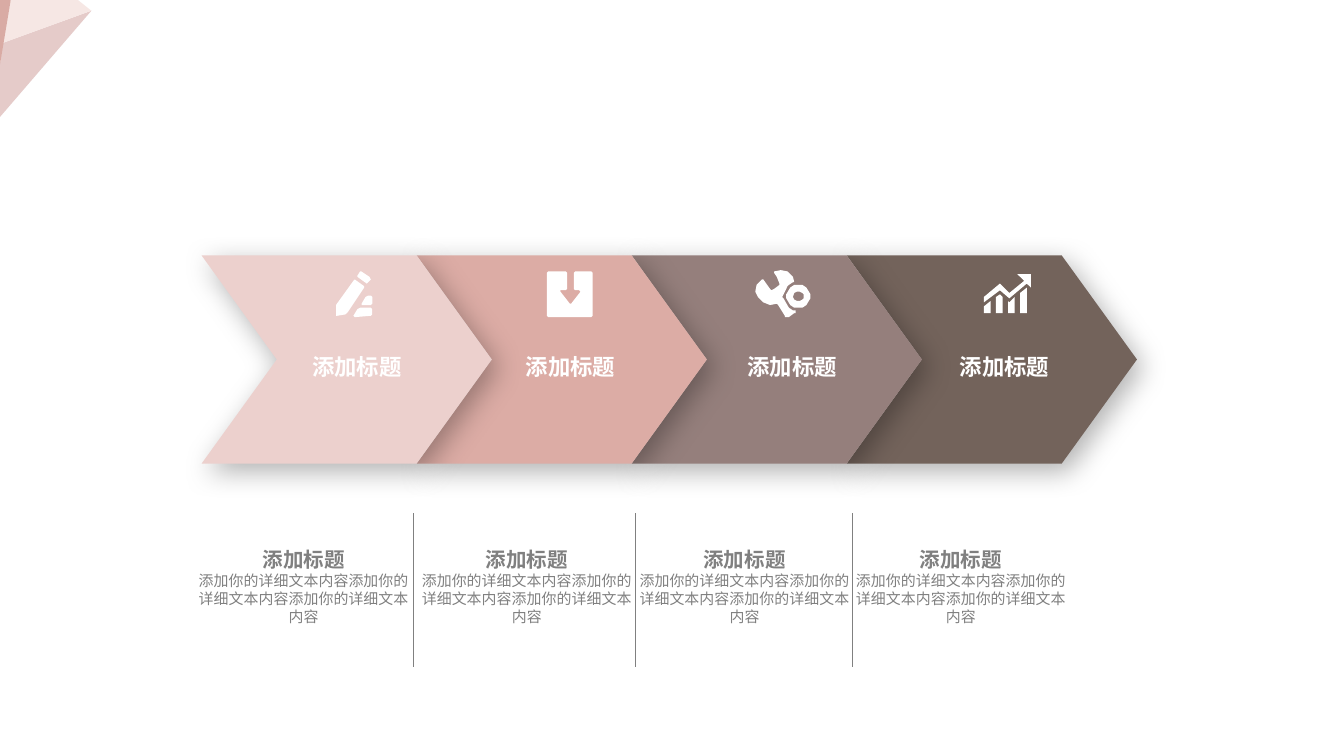
"""Build a slide with a four-step chevron process and a description under each step."""
from lxml import etree
from pptx import Presentation
from pptx.dml.color import RGBColor
from pptx.enum.shapes import MSO_CONNECTOR, MSO_SHAPE
from pptx.enum.text import MSO_AUTO_SIZE, PP_ALIGN
from pptx.oxml.ns import qn
from pptx.util import Inches, Pt

CHEVRON = MSO_SHAPE.CHEVRON
STRAIGHT = MSO_CONNECTOR.STRAIGHT
CENTER = PP_ALIGN.CENTER
GROW = MSO_AUTO_SIZE.SHAPE_TO_FIT_TEXT

WHITE, GRAY = "FFFFFF", "808080"
FONT = "Arial"
TITLE = "添加标题"
DETAIL = "添加你的详细文本内容添加你的详细文本内容添加你的详细文本内容"
UNIT = Inches(0.01)

CORNER = [
    ("E5CBC9", [[(68, 8), (2, 32), (0, 48), (0, 87)]]),
    ("F6E7E4", [[(68, 8), (58, 0), (8, 0), (2, 32)]]),
    ("D9ABA4", [[(8, 0), (0, 0), (0, 48)]]),
]

PENCIL = [
    [[(271, 213), (271, 214), (259, 232), (257, 234), (251, 235), (250, 235),
      (250, 228), (250, 227), (263, 209), (264, 208)]],
    [[(275, 206), (276, 208), (274, 210), (273, 211), (266, 206), (266, 205),
      (268, 202), (269, 202)]],
    [[(277, 234), (276, 235), (264, 236), (263, 235), (266, 230), (268, 229),
      (276, 229), (277, 230)]],
    [[(277, 226), (276, 227), (269, 227), (269, 226), (272, 221), (274, 220),
      (276, 220), (277, 221)]],
]
DOWNLOAD = [
    [[(441, 203), (441, 235), (440, 236), (408, 236), (407, 235), (407, 203),
      (408, 202), (421, 202), (422, 203), (422, 215), (421, 216), (417, 216),
      (417, 217), (424, 226), (425, 226), (432, 217), (431, 216), (428, 216),
      (427, 215), (427, 203), (428, 202), (440, 202)]],
]
WRENCH = [
    [[(592, 233), (591, 233), (587, 236), (586, 236), (584, 236), (584, 235),
      (579, 227), (578, 226), (573, 227), (568, 225), (564, 221), (562, 217),
      (563, 212), (567, 208), (568, 208), (573, 215), (574, 216), (576, 215),
      (580, 212), (580, 211), (578, 206), (576, 203), (576, 202), (581, 201),
      (586, 202), (590, 206), (591, 210), (590, 210), (587, 212), (586, 213),
      (585, 215), (583, 219), (582, 221), (583, 222), (587, 229), (590, 231),
      (592, 231)]],
    [[(603, 219), (600, 214), (597, 212), (591, 212), (588, 214), (585, 219),
      (585, 222), (588, 227), (591, 229), (597, 229), (600, 227), (603, 222)],
     [(595, 224), (593, 224), (591, 223), (590, 221), (591, 218), (593, 217),
      (595, 217), (597, 218), (598, 219), (598, 222), (597, 223)]],
]
GROWTH = [
    [[(741, 221), (741, 233), (746, 233), (746, 221), (744, 219)],
     [(732, 233), (737, 233), (737, 224), (732, 228)],
     [(759, 218), (759, 233), (764, 233), (764, 214)],
     [(750, 224), (750, 233), (755, 233), (755, 221), (751, 225)]],
    [[(767, 204), (757, 204), (762, 209), (751, 218), (744, 211), (732, 221),
      (732, 225), (744, 216), (751, 222), (764, 211), (767, 214)]],
]

STEPS = [
    {"color": "ECD0CD", "icon": PENCIL, "title_x": 2.08, "detail_x": 1.47},
    {"color": "DCACA5", "icon": DOWNLOAD, "title_x": 3.67, "detail_x": 3.13},
    {"color": "957F7C", "icon": WRENCH, "title_x": 5.32, "detail_x": 4.75},
    {"color": "73635B", "icon": GROWTH, "title_x": 6.9, "detail_x": 6.36},
]
DIVIDERS = [3.08, 4.73, 6.34]
LEFT, PITCH, TOP, WIDTH, HEIGHT, POINT = 1.5, 1.6, 1.9, 2.16, 1.55, 0.56


def rgb(value):
    return RGBColor.from_string(value)


def paint(shape, color):
    shape.shadow.inherit = False
    shape.fill.solid()
    shape.fill.fore_color.rgb = rgb(color)
    shape.line.fill.background()


def add_outlines(slide, outlines):
    group = slide.shapes.add_group_shape()
    for color, contours in outlines:
        builder = group.shapes.build_freeform(*contours[0][0], scale=UNIT)
        builder.add_line_segments(contours[0][1:])
        for contour in contours[1:]:
            builder.move_to(*contour[0])
            builder.add_line_segments(contour[1:])
        paint(builder.convert_to_shape(), color)


def add_chevron(slide, left, color):
    chevron = slide.shapes.add_shape(
        CHEVRON, Inches(left), Inches(TOP), Inches(WIDTH), Inches(HEIGHT))
    chevron.adjustments[0] = POINT / HEIGHT
    paint(chevron, color)
    effects = chevron._element.spPr.find(qn("a:effectLst"))
    shadow = etree.SubElement(effects, qn("a:outerShdw"), blurRad=str(Pt(15)),
                              dist=str(Pt(5)), dir=str(55 * 60000), rotWithShape="0")
    black = etree.SubElement(shadow, qn("a:srgbClr"), val="000000")
    etree.SubElement(black, qn("a:alpha"), val="30000")


def add_text(slide, lines, *, left, top, width, height, color, spacing=None):
    frame = slide.shapes.add_textbox(
        Inches(left), Inches(top), Inches(width), Inches(height)).text_frame
    frame.word_wrap = True
    frame.auto_size = GROW
    frame.margin_left = frame.margin_right = frame.margin_top = frame.margin_bottom = 0
    for index, (text, size, bold) in enumerate(lines):
        paragraph = frame.add_paragraph() if index else frame.paragraphs[0]
        paragraph.alignment = CENTER
        paragraph.line_spacing = spacing
        run = paragraph.add_run()
        run.text = text
        run.font.name = FONT
        run.font.size = Pt(size)
        run.font.bold = bold
        run.font.color.rgb = rgb(color)


def add_divider(slide, x):
    divider = slide.shapes.add_connector(
        STRAIGHT, Inches(x), Inches(3.82), Inches(x), Inches(4.96))
    divider.line.color.rgb = rgb(GRAY)
    divider.line.width = Pt(0.5)
    etree.SubElement(divider._element.spPr, qn("a:effectLst"))


def main():
    deck = Presentation()
    deck.slide_width = Inches(10)
    deck.slide_height = deck.slide_width * 9 // 16
    slide = deck.slides.add_slide(deck.slide_layouts[6])
    add_outlines(slide, CORNER)
    for index, step in reversed(list(enumerate(STEPS))):
        add_chevron(slide, LEFT + index * PITCH, step["color"])
        add_outlines(slide, [(WHITE, contours) for contours in step["icon"]])
        add_text(slide, [(TITLE, 12, True)], left=step["title_x"], top=2.59,
                 width=1.15, height=0.24, color=WHITE, spacing=1.2)
        add_text(slide, [(TITLE, 11, True), (DETAIL, 8, False)], left=step["detail_x"],
                 top=4.07, width=1.58, height=0.59, color=GRAY)
    for x in DIVIDERS:
        add_divider(slide, x)
    deck.save("out.pptx")


if __name__ == "__main__":
    main()
